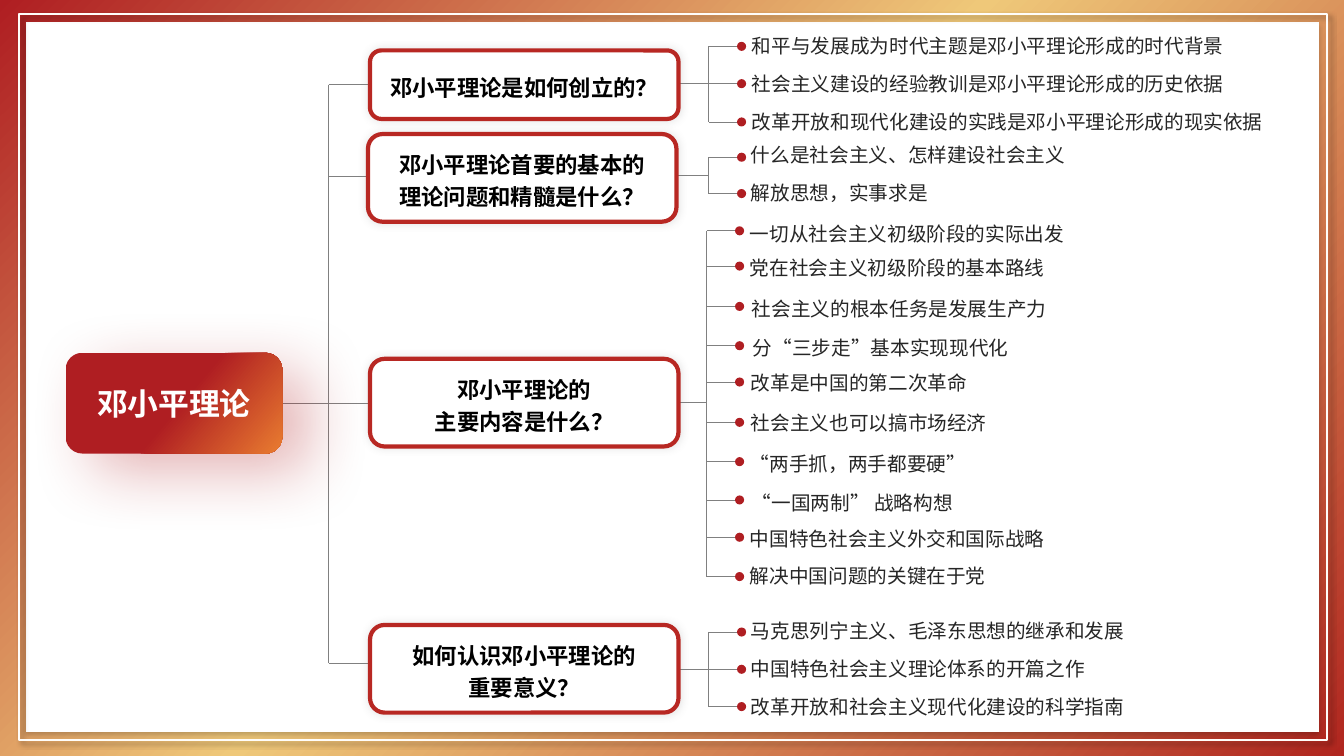
from pptx import Presentation
from pptx.dml.color import RGBColor
from pptx.enum.shapes import MSO_CONNECTOR, MSO_SHAPE
from pptx.enum.text import MSO_ANCHOR, MSO_AUTO_SIZE, PP_ALIGN
from pptx.oxml.ns import qn
from pptx.util import Inches, Pt
from lxml.etree import SubElement

# Content: each leaf is (text, dot centre y, text left, text top)
ROOT = "邓小平理论"
TOPICS = [
    {"lines": ["邓小平理论是如何创立的？"], "box": (3.67, 0.5, 0.68),
     "entry": 0.84, "exit": 0.83, "spine": 7.03,
     "leaves": [
         ("和平与发展成为时代主题是邓小平理论形成的时代背景", 0.46, 7.36, 0.29),
         ("社会主义建设的经验教训是邓小平理论形成的历史依据", 0.83, 7.36, 0.66),
         ("改革开放和现代化建设的实践是邓小平理论形成的现实依据", 1.21, 7.36, 1.04)]},
    {"lines": ["邓小平理论首要的基本的", "理论问题和精髓是什么？"], "box": (3.65, 1.33, 0.87),
     "entry": 1.75, "exit": 1.74, "spine": 7.03,
     "leaves": [
         ("什么是社会主义、怎样建设社会主义", 1.56, 7.35, 1.37),
         ("解放思想，实事求是", 1.92, 7.35, 1.75)]},
    {"lines": ["邓小平理论的", "主要内容是什么？"], "box": (3.67, 3.56, 0.87),
     "entry": 4, "exit": 3.99, "spine": 7.01,
     "leaves": [
         ("一切从社会主义初级阶段的实际出发", 2.29, 7.34, 2.15),
         ("党在社会主义初级阶段的基本路线", 2.64, 7.34, 2.49),
         ("社会主义的根本任务是发展生产力", 3.04, 7.36, 2.9),
         ("分“三步走”基本实现现代化", 3.43, 7.37, 3.28),
         ("改革是中国的第二次革命", 3.79, 7.35, 3.63),
         ("社会主义也可以搞市场经济", 4.19, 7.35, 4.03),
         ("“两手抓，两手都要硬”", 4.58, 7.34, 4.43),
         ("“一国两制” 战略构想", 4.96, 7.36, 4.82),
         ("中国特色社会主义外交和国际战略", 5.33, 7.34, 5.18),
         ("解决中国问题的关键在于党", 5.72, 7.34, 5.55)]},
    {"lines": ["如何认识邓小平理论的", "重要意义？"], "box": (3.67, 6.2, 0.87),
     "entry": 6.58, "exit": 6.64, "spine": 7.03,
     "leaves": [
         ("马克思列宁主义、毛泽东思想的继承和发展", 6.27, 7.35, 6.09),
         ("中国特色社会主义理论体系的开篇之作", 6.64, 7.35, 6.47),
         ("改革开放和社会主义现代化建设的科学指南", 7.01, 7.35, 6.84)]},
]


class Theme:
    font = "Noto Sans CJK SC"
    red, orange, white, frame = "AF1E22", "E97C30", "FFFFFF", "FFFDFA"
    box_line, connector, leaf_text, box_text = "B82823", "808080", "262626", "000000"
    root_size, box_size, leaf_size = 22, 16, 14
    backdrop = [(0, "B0261F"), (53, "EFC879"), (100, red)]
    root_fill = [(52, red), (100, orange)]
    # Shadows: colour, opacity %, blur pt, distance pt, direction
    panel_shadow = ("000000", 20, 4, 3, 90)
    frame_shadow = ("000000", 40, 4, 3, 45)
    box_shadow = ("808080", 20, 6, 0, 315)
    root_shadow = (red, 33, 46, 23, 35)


ROOT_BOX = (0.65, 3.5, 2.15, 1)
ROOT_Y, TRUNK_X = 4, 3.26
BOX_WIDTH, DOT, DOT_GAP = 3.06, 0.09, 0.28

presentation = Presentation()
presentation.slide_width, presentation.slide_height = Inches(13.33), Inches(7.5)
slide = presentation.slides.add_slide(presentation.slide_layouts[6])


def color(value):
    return RGBColor.from_string(value)


def add_panel(kind, left, top, width, height, fill=None, line=None, shadow=None, angle=0):
    """fill is a colour, or a list of gradient stops used with a clockwise angle."""
    shape = slide.shapes.add_shape(kind, *map(Inches, (left, top, width, height)))
    if isinstance(fill, list):
        shape.fill.gradient()
        shape.fill.gradient_angle = 360 - angle
        stops = shape._element.spPr.find(".//" + qn("a:gsLst"))
        stops.clear()
        for position, value in fill:
            stop = SubElement(stops, qn("a:gs"), pos=str(position * 1000))
            SubElement(stop, qn("a:srgbClr"), val=value)
    elif fill:
        shape.fill.solid()
        shape.fill.fore_color.rgb = color(fill)
    else:
        shape.fill.background()
    if line:
        shape.line.color.rgb = color(line[0])
        shape.line.width = Pt(line[1])
    else:
        shape.line.fill.background()
    shape.shadow.inherit = False
    if shadow:
        value, opacity, blur, distance, direction = shadow
        effects = shape._element.spPr.find(qn("a:effectLst"))
        outer = SubElement(effects, qn("a:outerShdw"), blurRad=str(Pt(blur)),
                           dist=str(Pt(distance)), dir=str(direction * 60000),
                           algn="ctr", rotWithShape="0")
        tone = SubElement(outer, qn("a:srgbClr"), val=value)
        SubElement(tone, qn("a:alpha"), val=str(opacity * 1000))
    return shape


def add_line(x1, y1, x2, y2):
    line = slide.shapes.add_connector(MSO_CONNECTOR.STRAIGHT, *map(Inches, (x1, y1, x2, y2)))
    line.line.color.rgb = color(Theme.connector)
    line.line.width = Pt(0.5)
    SubElement(line._element.spPr, qn("a:effectLst"))


def write(shape, lines, size, value, bold=False, align=PP_ALIGN.CENTER, spacing=None):
    frame = shape.text_frame
    for index, text in enumerate(lines):
        paragraph = frame.add_paragraph() if index else frame.paragraphs[0]
        paragraph.text = text
        paragraph.alignment = align
        paragraph.line_spacing = spacing
        font = paragraph.font
        font.name, font.size, font.bold = Theme.font, Pt(size), bold
        font.color.rgb = color(value)
        SubElement(font._element, qn("a:ea"), typeface=Theme.font)


def add_leaf(text, dot_y, left, top, spine):
    add_line(spine, dot_y, spine + DOT_GAP + DOT / 2, dot_y)
    add_panel(MSO_SHAPE.OVAL, spine + DOT_GAP, dot_y - DOT / 2, DOT, DOT, Theme.red)
    characters = len(text) - 0.7 * text.count(" ")
    width = characters * Theme.leaf_size / 72 + 0.24
    label = slide.shapes.add_textbox(*map(Inches, (left, top, width, 0.34)))
    label.text_frame.word_wrap = False
    label.text_frame.auto_size = MSO_AUTO_SIZE.SHAPE_TO_FIT_TEXT
    write(label, [text], Theme.leaf_size, Theme.leaf_text, align=PP_ALIGN.LEFT)


# Backdrop, white panel and thin frame
add_panel(MSO_SHAPE.RECTANGLE, 0, 0, 13.33, 7.5, Theme.backdrop, angle=225)
add_panel(MSO_SHAPE.RECTANGLE, 0.26, 0.22, 12.82, 7.04, Theme.white, shadow=Theme.panel_shadow)
add_panel(MSO_SHAPE.RECTANGLE, 0.19, 0.14, 12.97, 7.2,
          line=(Theme.frame, 1.5), shadow=Theme.frame_shadow)

# Trunk from the root to the topics
add_line(ROOT_BOX[0] + ROOT_BOX[2], ROOT_Y, TRUNK_X, ROOT_Y)
add_line(TRUNK_X, TOPICS[0]["entry"], TRUNK_X, TOPICS[-1]["entry"])

# Topics with their branches and leaves
for topic in TOPICS:
    left, top, height = topic["box"]
    spine, leaves = topic["spine"], topic["leaves"]
    add_line(TRUNK_X, topic["entry"], left + 0.02, topic["entry"])
    add_line(left + BOX_WIDTH - 0.03, topic["exit"], spine, topic["exit"])
    add_line(spine, leaves[0][1], spine, leaves[-1][1])
    for leaf in leaves:
        add_leaf(*leaf, spine)
    box = add_panel(MSO_SHAPE.ROUNDED_RECTANGLE, left, top, BOX_WIDTH, height, Theme.white,
                    (Theme.box_line, 3), Theme.box_shadow)
    box.text_frame.vertical_anchor = MSO_ANCHOR.MIDDLE
    write(box, topic["lines"], Theme.box_size, Theme.box_text, bold=True, spacing=1.2)

# Root
root = add_panel(MSO_SHAPE.ROUNDED_RECTANGLE, *ROOT_BOX, Theme.root_fill,
                 shadow=Theme.root_shadow, angle=40)
root.text_frame.vertical_anchor = MSO_ANCHOR.MIDDLE
write(root, [ROOT], Theme.root_size, Theme.white, bold=True)

presentation.save("out.pptx")
